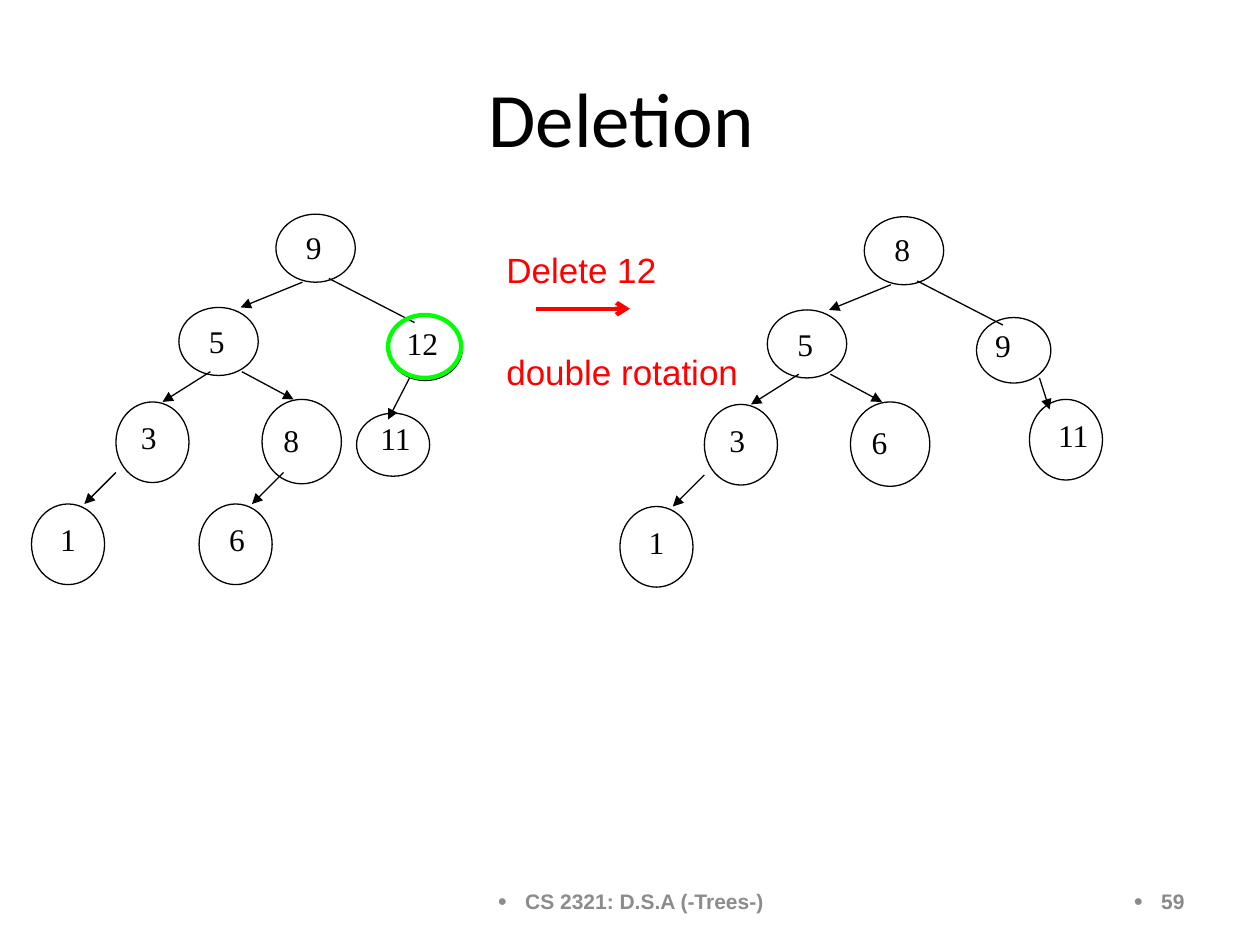
from dataclasses import dataclass

from lxml import etree
from pptx import Presentation
from pptx import util as u
from pptx.dml.color import RGBColor
from pptx.enum import shapes, text
from pptx.oxml.ns import qn

COLORS = {"ink": "000000", "red": "FF0000", "green": "00FF00", "footer": "8C8C8C", "number": "898989"}
Box = tuple[float, float, float, float]


@dataclass(frozen=True)
class Node:
    """A tree node: its value, oval and value box."""

    value: str
    oval: Box
    label: Box


@dataclass(frozen=True)
class Edge:
    """A branch between two points."""

    start: tuple[float, float]
    end: tuple[float, float]
    head: str | None = "triangle"


@dataclass(frozen=True)
class Tree:
    """Nodes and branches that share an offset."""

    nodes: list[Node]
    edges: list[Edge]
    dx: float = 0
    dy: float = 0


def common_tree(root: str, inner: str, dx: float = 0, dy: float = 0) -> Tree:
    """Return the part that both trees share."""
    nodes = [
        Node(root, (2.19, 1.7, 0.63, 0.54), (2.33, 1.76, 1.12, 0.4)),
        Node("5", (1.42, 2.44, 0.63, 0.54), (1.56, 2.51, 0.7, 0.4)),
        Node("3", (0.92, 3.19, 0.58, 0.64), (1.02, 3.27, 0.53, 0.4)),
        Node(inner, (2.08, 3.17, 0.63, 0.67), (2.15, 3.29, 0.85, 0.4)),
        Node("1", (0.25, 4, 0.58, 0.64), (0.38, 4.08, 0.53, 0.4)),
    ]
    edges = [
        Edge((2.4, 2.24), (1.91, 2.44)),
        Edge((2.61, 2.21), (3.29, 2.56), None),
        Edge((1.67, 2.95), (1.29, 3.19)),
        Edge((1.92, 2.95), (2.33, 3.17)),
        Edge((0.92, 3.75), (0.67, 4)),
    ]
    return Tree(nodes, edges, dx, dy)


TREES = [
    common_tree("9", "8"),
    Tree(
        [
            Node("12", (3.08, 2.5, 0.59, 0.52), (3.13, 2.52, 0.53, 0.4)),
            Node("11", (2.83, 3.28, 0.58, 0.5), (2.92, 3.28, 0.83, 0.4)),
            Node("6", (1.58, 4, 0.58, 0.64), (1.72, 4.08, 0.53, 0.4)),
        ],
        [Edge((3.25, 3), (3.08, 3.33)), Edge((2.25, 3.75), (2, 4))],
    ),
    common_tree("8", "6", 4.67, 0.02),
    Tree(
        [
            Node("9", (7.75, 2.52, 0.59, 0.52), (7.8, 2.54, 0.53, 0.4)),
            Node("11", (8.17, 3.17, 0.58, 0.64), (8.3, 3.25, 0.53, 0.4)),
        ],
        [Edge((8.25, 3), (8.33, 3.25))],
    ),
]


def rgb(name: str) -> RGBColor:
    """Look up a named colour."""
    return RGBColor.from_string(COLORS[name])


def add_text(slide, content: str, box: Box, *, size: float, font: str, color: str = "ink",
             align=text.PP_ALIGN.LEFT, anchor=text.MSO_ANCHOR.TOP,
             bold: bool = False, wrap: bool = True, bullet: bool = False) -> None:
    """Add a one-paragraph text box."""
    frame = slide.shapes.add_textbox(*map(u.Inches, box)).text_frame
    frame.word_wrap = wrap
    frame.vertical_anchor = anchor
    paragraph = frame.paragraphs[0]
    paragraph.text = content
    paragraph.alignment = align
    if bullet:
        properties = paragraph._p.get_or_add_pPr()
        properties.set("marL", str(u.Inches(0.22)))
        properties.set("indent", str(-u.Inches(0.22)))
        etree.SubElement(properties, qn("a:buSzPct"), val="75000")
        etree.SubElement(properties, qn("a:buFont"), typeface="Arial")
        etree.SubElement(properties, qn("a:buChar"), char="●")
    for run in paragraph.runs:
        run.font.size = u.Pt(size)
        run.font.name = font
        run.font.bold = bold
        run.font.color.rgb = rgb(color)


def add_oval(slide, box: Box, color: str = "ink", width: float = 0.75) -> None:
    """Add an unfilled oval."""
    shape = slide.shapes.add_shape(shapes.MSO_SHAPE.OVAL, *map(u.Inches, box))
    shape.shadow.inherit = False
    shape.fill.background()
    shape.line.color.rgb = rgb(color)
    shape.line.width = u.Pt(width)


def add_edge(slide, edge: Edge, color: str = "ink", width: float = 0.75) -> None:
    """Add a straight line with an optional arrowhead."""
    connector = slide.shapes.add_connector(
        shapes.MSO_CONNECTOR.STRAIGHT, *map(u.Inches, edge.start + edge.end))
    connector.line.color.rgb = rgb(color)
    connector.line.width = u.Pt(width)
    if edge.head:
        etree.SubElement(connector.line._get_or_add_ln(), qn("a:tailEnd"), type=edge.head)
    etree.SubElement(connector._element.spPr, qn("a:effectLst"))


def add_tree(slide, tree: Tree) -> None:
    """Draw the nodes and branches of a tree."""
    def move(place: tuple) -> tuple:
        """Shift a point or box by the offset of the tree."""
        return (place[0] + tree.dx, place[1] + tree.dy, *place[2:])

    for node in tree.nodes:
        add_oval(slide, move(node.oval))
        add_text(slide, node.value, move(node.label), size=18, font="Times New Roman")
    for edge in tree.edges:
        add_edge(slide, Edge(move(edge.start), move(edge.end), edge.head))


def main() -> None:
    """Build and save the slide."""
    presentation = Presentation()
    presentation.slide_width = u.Inches(10)
    presentation.slide_height = u.Inches(7.5)
    slide = presentation.slides.add_slide(presentation.slide_layouts[6])
    middle = text.MSO_ANCHOR.MIDDLE
    center = text.PP_ALIGN.CENTER

    add_text(slide, "Deletion ", (0.5, 0.3, 9, 1.25), size=44, font="Calibri", align=center, anchor=middle)
    add_edge(slide, Edge((4.25, 2.45), (5, 2.45), "arrow"), "red", 2.5)
    for step, box in (("Delete 12", (3.92, 1.92, 1.39, 0.43)),
                      ("double rotation", (3.92, 2.73, 2.04, 0.43))):
        add_text(slide, step, box, size=20, font="Arial", color="red", wrap=False)
    for tree in TREES:
        add_tree(slide, tree)
    add_oval(slide, (3.08, 2.5, 0.58, 0.5), "green", 2.5)
    for content, box, color, align in (
            ("CS 2321: D.S.A (-Trees-)", (3.42, 6.95, 3.17, 0.4), "footer", center),
            ("59", (7.17, 6.95, 2.33, 0.4), "number", text.PP_ALIGN.RIGHT)):
        add_text(slide, content, box, size=12, font="Arial", color=color, align=align,
                 anchor=middle, bold=True, bullet=True)
    presentation.save("out.pptx")


if __name__ == "__main__":
    main()
